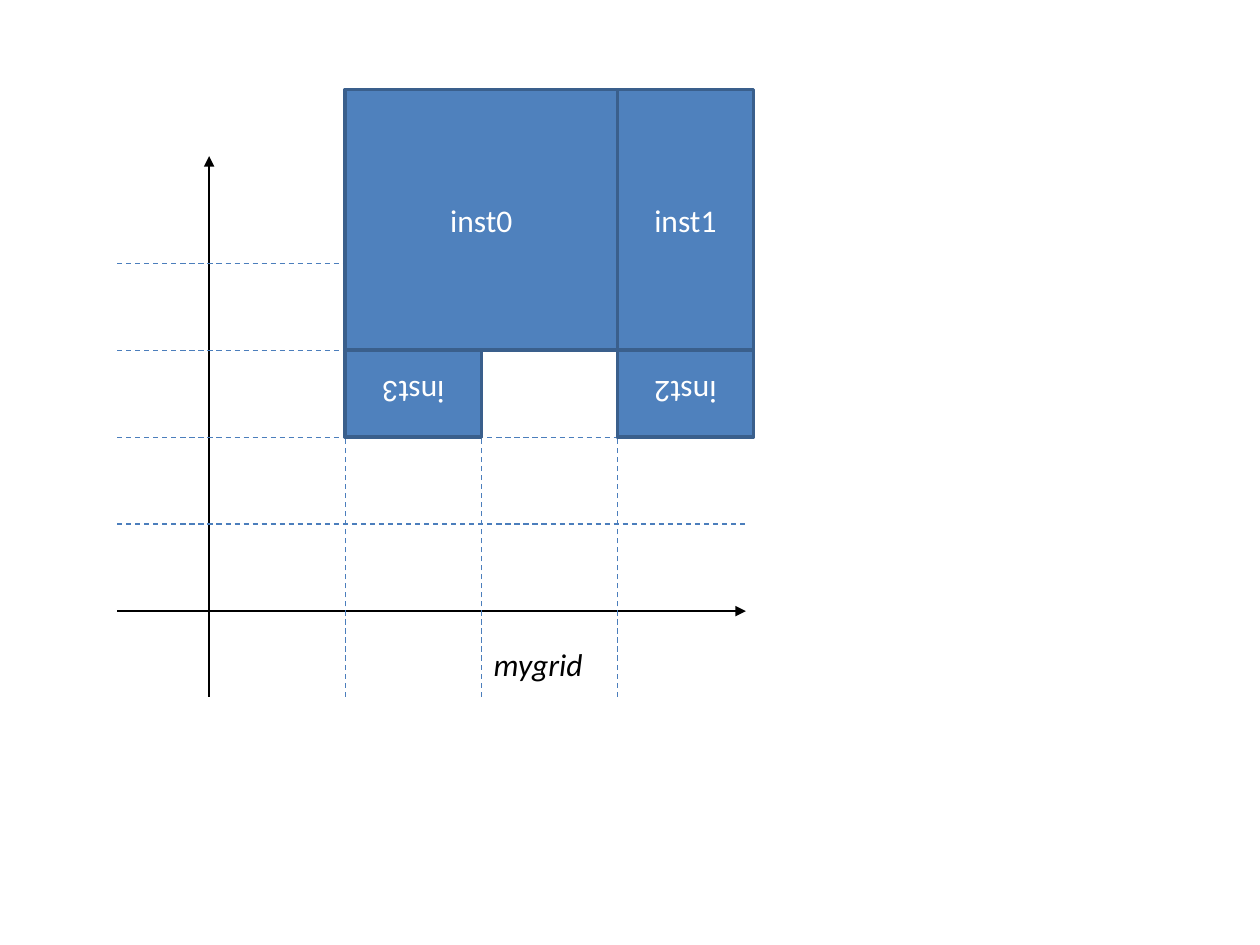
from lxml.etree import SubElement
from pptx import Presentation
from pptx.dml.color import RGBColor
from pptx.enum.dml import MSO_LINE as Dash
from pptx.enum.shapes import MSO_CONNECTOR as Connector, MSO_SHAPE as Shape
from pptx.enum.text import (MSO_ANCHOR as Anchor, MSO_AUTO_SIZE as AutoSize,
                            PP_ALIGN as Align)
from pptx.oxml.ns import qn
from pptx.util import Inches, Pt

COLORS = {"axis": "000000", "grid": "4B7EBC", "block": "4F81BD",
          "border": "3A5F8C", "label": "FFFFFF", "caption": "000000"}

# Grid origin, cell size and the reach of the lines, in inches
ORIGIN_X, ORIGIN_Y = 1.66, 4.85
COLUMN, ROW = 1.08, 0.69
LEFT, RIGHT = 0.93, 5.92
TOP, BOTTOM = 1.24, 5.53

# Name, left column, bottom row, columns, rows, upside down
INSTANCES = [("inst0", 1, 3, 2, 3, False),
             ("inst1", 3, 3, 1, 3, False),
             ("inst2", 3, 2, 1, 1, True),
             ("inst3", 1, 2, 1, 1, True)]


def color(name):
    return RGBColor.from_string(COLORS[name])


def grid_x(column):
    return ORIGIN_X + column * COLUMN


def grid_y(row):
    return ORIGIN_Y - row * ROW


def write(frame, text, ink, italic=False, align=Align.LEFT, anchor=Anchor.TOP):
    frame.word_wrap = True
    frame.vertical_anchor = anchor
    paragraph = frame.paragraphs[0]
    paragraph.alignment = align
    run = paragraph.add_run()
    run.text = text
    run.font.name = "Calibri"
    run.font.size = Pt(18)
    run.font.italic = italic
    run.font.color.rgb = color(ink)


def add_line(shapes, start, end, ink):
    line = shapes.add_connector(Connector.STRAIGHT,
                                *map(Inches, (*start, *end)))
    line.line.color.rgb = color(ink)
    line.line.width = Pt(0.75)
    SubElement(line._element.spPr, qn("a:effectLst"))
    return line


def add_axis(shapes, start, end):
    axis = add_line(shapes, start, end, "axis")
    SubElement(axis.line._get_or_add_ln(), qn("a:tailEnd"), type="triangle")


def add_grid_lines(shapes, ends):
    group = shapes.add_group_shape()
    for start, end in ends:
        grid_line = add_line(group.shapes, start, end, "grid")
        grid_line.line.dash_style = Dash.DASH


def add_instance(shapes, name, column, row, columns, rows, upside_down):
    block = shapes.add_shape(
        Shape.RECTANGLE, Inches(grid_x(column)), Inches(grid_y(row + rows)),
        Inches(columns * COLUMN), Inches(rows * ROW))
    block.shadow.inherit = False
    block.fill.solid()
    block.fill.fore_color.rgb = color("block")
    block.line.color.rgb = color("border")
    block.line.width = Pt(2)
    write(block.text_frame, name, "label", align=Align.CENTER,
          anchor=Anchor.MIDDLE)
    if upside_down:
        block._element.spPr.xfrm.set("flipV", "1")


def add_caption(shapes, text):
    caption = shapes.add_textbox(Inches(grid_x(2)), Inches(5.07),
                                 Inches(1.43), Inches(0.4))
    write(caption.text_frame, text, "caption", italic=True)
    caption.text_frame.auto_size = AutoSize.SHAPE_TO_FIT_TEXT


def main():
    deck = Presentation()
    deck.slide_width, deck.slide_height = Inches(10), Inches(7.5)
    shapes = deck.slides.add_slide(deck.slide_layouts[6]).shapes

    # Axes
    add_axis(shapes, (ORIGIN_X, BOTTOM), (ORIGIN_X, TOP))
    add_axis(shapes, (LEFT, ORIGIN_Y), (RIGHT, ORIGIN_Y))

    # Dashed grid: rows, then columns
    add_grid_lines(shapes, [((LEFT, grid_y(row)), (RIGHT, grid_y(row)))
                            for row in range(1, 5)])
    add_grid_lines(shapes, [((grid_x(column), BOTTOM), (grid_x(column), TOP))
                            for column in range(1, 4)])
    add_caption(shapes, "mygrid")

    # Placed instances
    for instance in INSTANCES:
        add_instance(shapes, *instance)

    deck.save("out.pptx")


if __name__ == "__main__":
    main()
